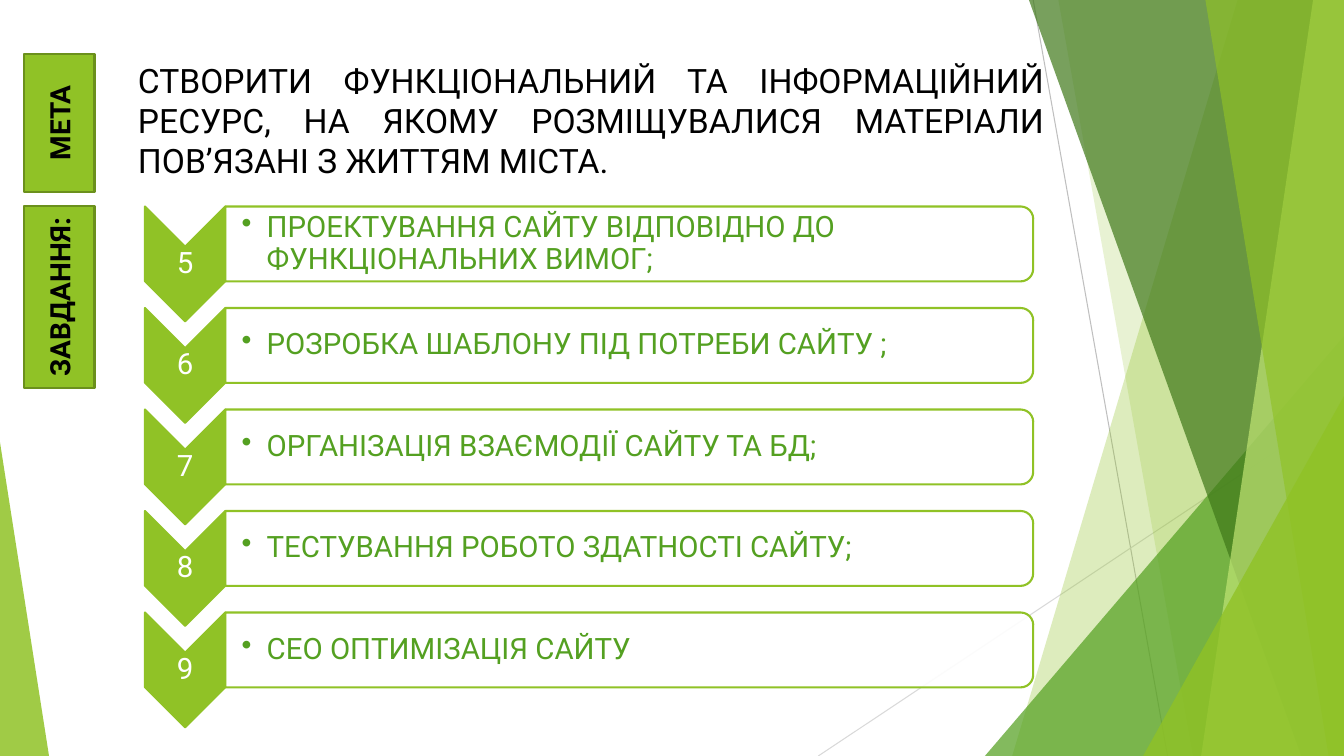
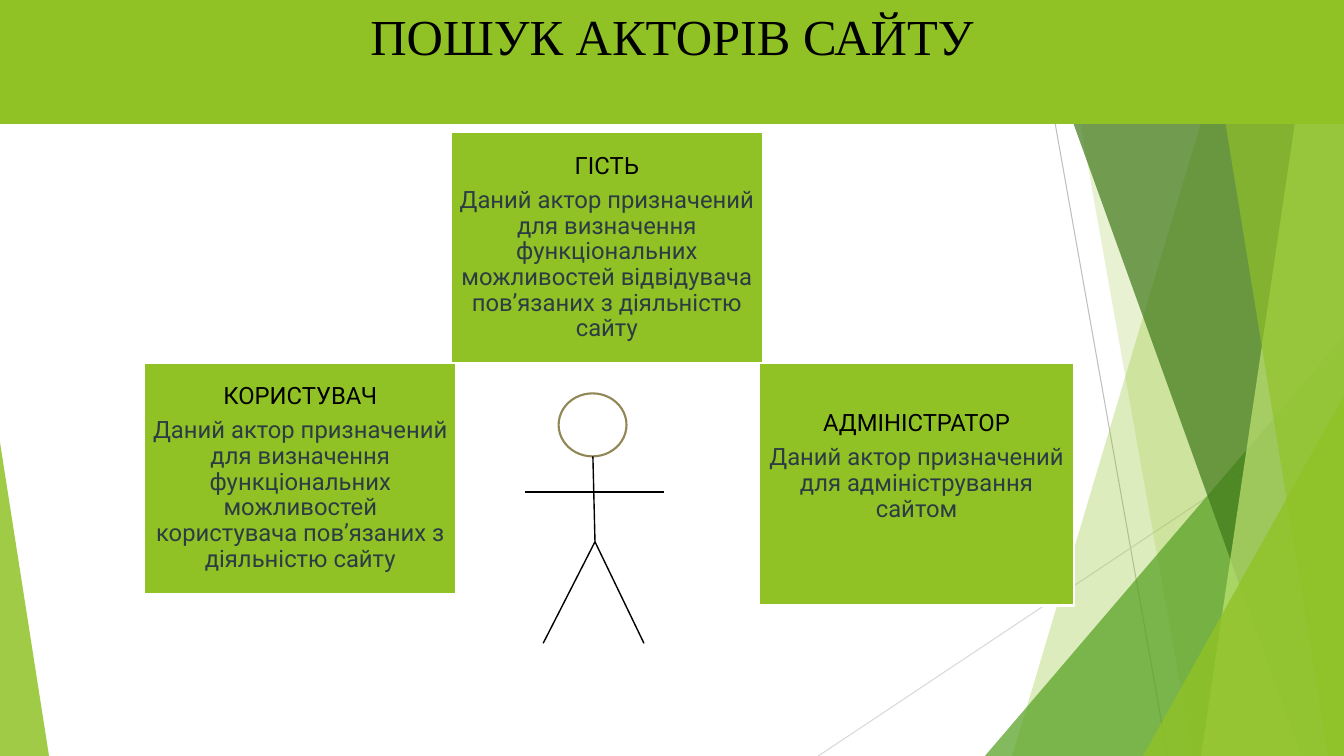
from lxml.etree import SubElement
from pptx import Presentation
from pptx.dml.color import RGBColor
from pptx.enum.shapes import MSO_CONNECTOR, MSO_SHAPE as SHAPE
from pptx.enum.text import MSO_ANCHOR as ANCHOR, PP_ALIGN as ALIGN
from pptx.oxml.ns import qn
from pptx.util import Pt

# Palette
LIME = RGBColor(0x90, 0xC2, 0x26)
PALE_LIME = RGBColor(0xC0, 0xE4, 0x74)
GREEN = RGBColor(0x54, 0xA0, 0x21)
DARK_GREEN = RGBColor(0x3F, 0x78, 0x19)
OLIVE = RGBColor(0x6B, 0x90, 0x1C)
KHAKI = RGBColor(0x91, 0x86, 0x55)
SLATE = RGBColor(0x2C, 0x3C, 0x43)
GREY = RGBColor(0xBF, 0xBF, 0xBF)
LIGHT_GREY = RGBColor(0xD9, 0xD9, 0xD9)
BLACK = RGBColor(0, 0, 0)
WHITE = RGBColor(0xFF, 0xFF, 0xFF)

# Page, fonts and default text margins
WIDTH, HEIGHT = 960, 540
BODY_FONT, TITLE_FONT = "Roboto", "Times New Roman"
MARGINS = (7.2, 3.6, 7.2, 3.6)


def write(tf, text, size=20, color=BLACK, font=BODY_FONT, bold=False,
          align=ALIGN.CENTER, anchor=ANCHOR.MIDDLE, margins=MARGINS,
          spacing=None, after=0, bullet_indent=None, vert=None):
    """Fill a text frame; text is a string or a list of (string, colour)."""
    tf.word_wrap = True
    tf.vertical_anchor = anchor
    tf.margin_left, tf.margin_top, tf.margin_right, tf.margin_bottom = map(Pt, margins)
    if vert:
        tf._txBody.bodyPr.set("vert", vert)
    lines = [(text, color)] if isinstance(text, str) else text
    for i, (line, line_color) in enumerate(lines):
        p = tf.add_paragraph() if i else tf.paragraphs[0]
        p.alignment = align
        p.space_after = Pt(after)
        if spacing:
            p.line_spacing = spacing
        if bullet_indent:
            pPr = p._p.get_or_add_pPr()
            pPr.set("marL", str(Pt(bullet_indent)))
            pPr.set("indent", str(-Pt(bullet_indent)))
            SubElement(pPr, qn("a:buChar")).set("char", "•")
        r = p.add_run()
        r.text = line
        r.font.name, r.font.size, r.font.bold = font, Pt(size), bold
        r.font.color.rgb = line_color


class Deck:
    """Holds the presentation style and the current slide."""

    def __init__(self):
        self.prs = Presentation()
        self.prs.slide_width, self.prs.slide_height = Pt(WIDTH), Pt(HEIGHT)

    def new_slide(self):
        self.shapes = self.prs.slides.add_slide(self.prs.slide_layouts[6]).shapes
        self.backdrop()

    def style(self, s, fill, alpha=100, line=None):
        s.shadow.inherit = False
        s.fill.solid()
        s.fill.fore_color.rgb = fill
        if alpha < 100:
            clr = s.element.spPr.find(qn("a:solidFill")).find(qn("a:srgbClr"))
            SubElement(clr, qn("a:alpha")).set("val", str(alpha * 1000))
        if line is None:
            s.line.fill.background()
        else:
            s.line.color.rgb, s.line.width = line, Pt(1.5)
        return s

    def shape(self, kind, x, y, w, h, fill=LIME, alpha=100, line=None):
        s = self.shapes.add_shape(kind, Pt(x), Pt(y), Pt(w), Pt(h))
        return self.style(s, fill, alpha, line)

    def turned(self, kind, x, y, w, h, **look):
        """A shape turned 90 degrees that covers the given visible box."""
        s = self.shape(kind, x + (w - h) / 2, y + (h - w) / 2, h, w, **look)
        s.rotation = 90

    def triangle(self, x, y, w, h, apex, fill, alpha):
        self.shape(SHAPE.ISOSCELES_TRIANGLE, x, y, w, h, fill, alpha).adjustments[0] = apex

    def right_band(self, top_x, bottom_x, fill, alpha):
        """A full-height band from a slanted edge to the right page edge."""
        fb = self.shapes.build_freeform(Pt(top_x), 0)
        corners = [(WIDTH, 0), (WIDTH, HEIGHT), (bottom_x, HEIGHT)]
        fb.add_line_segments([(Pt(x), Pt(y)) for x, y in corners], close=True)
        self.style(fb.convert_to_shape(), fill, alpha)

    def line(self, x1, y1, x2, y2, color=BLACK, width=1):
        c = self.shapes.add_connector(MSO_CONNECTOR.STRAIGHT, Pt(x1), Pt(y1), Pt(x2), Pt(y2))
        c.line.color.rgb, c.line.width = color, Pt(width)
        SubElement(c.element.spPr, qn("a:effectLst"))

    def text(self, x, y, w, h, text, **fmt):
        write(self.shapes.add_textbox(Pt(x), Pt(y), Pt(w), Pt(h)).text_frame, text, **fmt)

    def box(self, x, y, w, h, text, line=None, **fmt):
        s = self.shape(SHAPE.RECTANGLE, x, y, w, h, line=line)
        write(s.text_frame, text, **fmt)

    def backdrop(self):
        self.line(738, 0, 834, HEIGHT, GREY, 0.75)
        self.line(WIDTH, 290, 584.5, HEIGHT, LIGHT_GREY, 0.75)
        self.right_band(884, 723, LIME, 30)
        self.right_band(756, 852, LIME, 20)
        self.triangle(703.5, 240, 256.5, 300, 1, GREEN, 72)
        self.right_band(735, 929.5, DARK_GREEN, 70)
        self.right_band(938, 858, PALE_LIME, 70)
        self.right_band(861, 949, LIME, 65)
        self.triangle(816.5, 283, 143.5, 257, 1, LIME, 80)
        self.triangle(0, 316, 35, 224, 0, LIME, 85)

    def title(self, text):
        self.box(0, 0, WIDTH, 88.5, text, size=36, font=TITLE_FONT, anchor=ANCHOR.TOP)

    def side_label(self, y, h, text):
        self.box(17, y, 50.5, h, text, line=OLIVE, bold=True, vert="vert270")

    def task(self, y, number, text):
        self.turned(SHAPE.CHEVRON, 103.5, y, 57.5, 82, line=LIME)
        self.text(103.5, y + 28.5, 57.5, 24.5, number, size=21, color=WHITE,
                  spacing=0.9, margins=(1, 1, 1, 1))
        self.turned(SHAPE.ROUND_2_SAME_RECTANGLE, 161, y, 577, 53.5,
                    fill=WHITE, alpha=90, line=LIME)
        self.text(161, y + 2.6, 574.5, 48.2, text, size=21, color=GREEN,
                  align=ALIGN.LEFT, spacing=0.9, bullet_indent=18,
                  margins=(11.5, 1, 1, 1))

    def actor(self, x, y, w, h, name, role, lift=0):
        self.box(x, y, w, h, [(name, BLACK), (role, SLATE)], line=WHITE, size=17,
                 spacing=0.9, after=6, margins=(5, 5, 5, 5 + lift))

    def stick_figure(self):
        self.shape(SHAPE.OVAL, 399, 281, 48.5, 45, fill=WHITE, line=KHAKI)
        hip = (425, 387)
        self.line(423.5, 326, *hip)
        self.line(375, 351.5, 474.5, 351.5)
        for foot_x in (388, 460):
            self.line(*hip, foot_x, 459.5)


def main():
    deck = Deck()

    # Goal and tasks
    deck.new_slide()
    tasks = ["ПРОЕКТУВАННЯ САЙТУ ВІДПОВІДНО ДО ФУНКЦІОНАЛЬНИХ ВИМОГ;",
             "РОЗРОБКА ШАБЛОНУ ПІД ПОТРЕБИ САЙТУ ;",
             "ОРГАНІЗАЦІЯ ВЗАЄМОДІЇ САЙТУ ТА БД;",
             "ТЕСТУВАННЯ РОБОТО ЗДАТНОСТІ САЙТУ;",
             "СЕО ОПТИМІЗАЦІЯ САЙТУ"]
    for i, task in enumerate(tasks):
        deck.task(147.5 + 72.5 * i, str(5 + i), task)
    deck.side_label(38.5, 98.5, "МЕТА")
    deck.text(91.5, 39, 661.5, 94.5,
              "СТВОРИТИ ФУНКЦІОНАЛЬНИЙ ТА ІНФОРМАЦІЙНИЙ РЕСУРС, НА ЯКОМУ "
              "РОЗМІЩУВАЛИСЯ МАТЕРІАЛИ ПОВ’ЯЗАНІ З ЖИТТЯМ МІСТА.",
              size=24, align=ALIGN.JUSTIFY, anchor=ANCHOR.TOP)
    deck.side_label(147.5, 129.5, "ЗАВДАННЯ:")

    # Site actors
    deck.new_slide()
    deck.title("ПОШУК АКТОРІВ САЙТУ")
    deck.actor(103, 259, 223, 165, "КОРИСТУВАЧ",
               "Даний актор призначений для визначення функціональних "
               "можливостей користувача пов’язаних з діяльністю сайту")
    deck.actor(542.5, 259, 224.5, 173.5, "АДМІНІСТРАТОР",
               "Даний актор призначений для адміністрування сайтом", lift=25)
    deck.actor(322, 94.5, 223, 165, "ГІСТЬ",
               "Даний актор призначений для визначення функціональних "
               "можливостей відвідувача пов’язаних з діяльністю сайту")
    deck.stick_figure()

    deck.prs.save("out.pptx")


if __name__ == "__main__":
    main()
